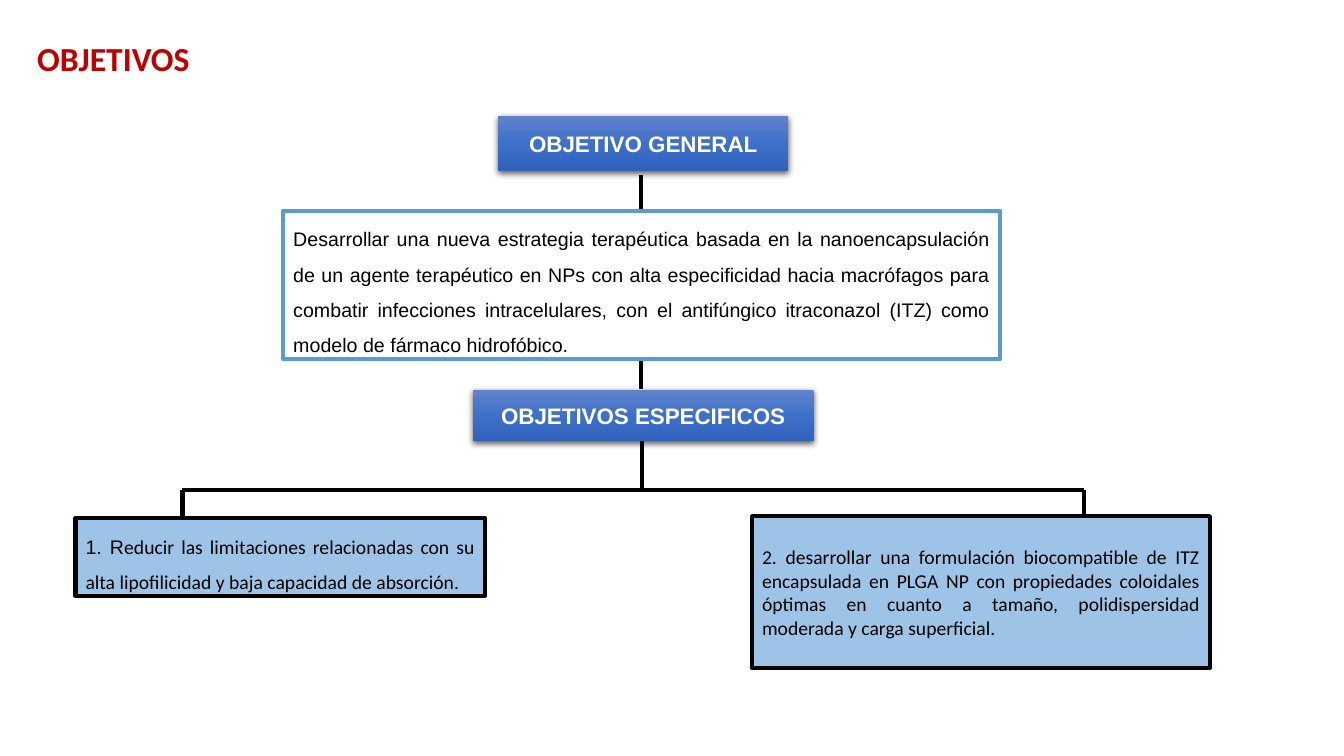
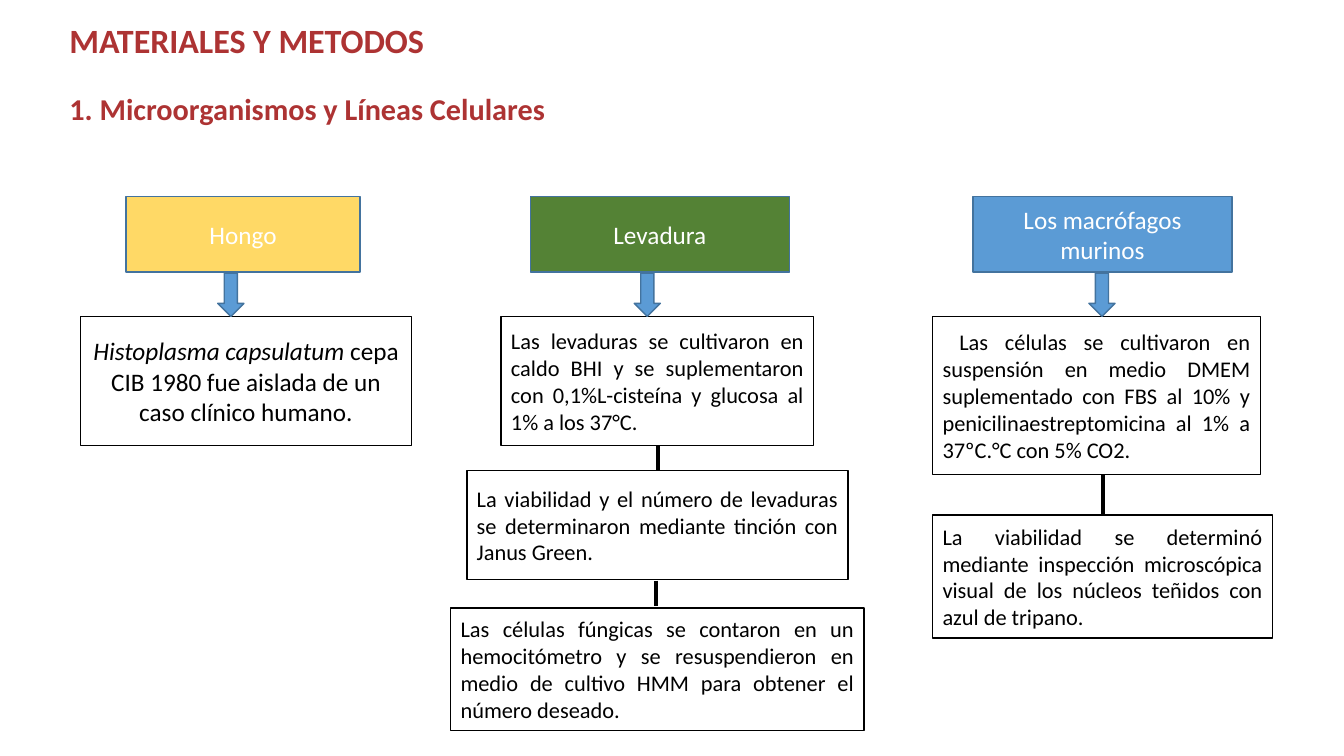
"""Build two slides: the objectives tree and the materials and methods flow."""
from dataclasses import dataclass

from pptx import Presentation
from pptx.dml.color import RGBColor
from pptx.enum.shapes import MSO_CONNECTOR, MSO_SHAPE
from pptx.enum.text import MSO_ANCHOR, PP_ALIGN
from pptx.oxml import parse_xml
from pptx.oxml.ns import nsdecls, qn
from pptx.shapes.autoshape import Shape
from pptx.slide import Slide
from pptx.util import Inches, Pt

INK = {
    "black": "000000", "white": "FFFFFF", "red": "C00000", "brick": "AD3333",
    "pale": "9DC3E6", "blue": "5B9BD5", "edge": "43739E", "gold": "FFD966",
    "green": "548235", "top": "6183CB", "mid": "3E70CA", "low": "3062BB",
}


@dataclass
class Box:
    left: float
    top: float
    width: float
    height: float
    text: str
    fill: str = "white"
    line: str = "black"
    weight: float = 1
    size: float = 16
    font: str = "Calibri"
    color: str = "black"
    bold: bool = False
    align: PP_ALIGN = PP_ALIGN.JUSTIFY
    loose: bool = False
    lead: str = ""
    face: str = "Calibri"
    slant: bool = False


@dataclass
class Link:
    x1: float
    y1: float
    x2: float
    y2: float


@dataclass
class Title:
    left: float
    top: float
    width: float
    height: float
    lines: list[tuple[str, float]]
    color: str
    space: float = 1
    wrap: bool = True


def rgb(name: str) -> RGBColor:
    return RGBColor.from_string(INK[name])


def style(run, size: float, color: str, font: str = "Calibri", bold: bool = False) -> None:
    run.font.size = Pt(size)
    run.font.name = font
    run.font.bold = bold
    run.font.color.rgb = rgb(color)


def shade(shape: Shape) -> None:
    stops = "".join(
        f'<a:gs pos="{pos * 1000}"><a:srgbClr val="{INK[name]}"/></a:gs>'
        for pos, name in ((0, "top"), (50, "mid"), (100, "low"))
    )
    props = shape._element.spPr
    props.insert(2, parse_xml(
        f'<a:gradFill {nsdecls("a")} rotWithShape="1"><a:gsLst>{stops}</a:gsLst>'
        '<a:lin ang="5400000" scaled="0"/></a:gradFill>'
    ))
    props.find(qn("a:effectLst")).append(parse_xml(
        f'<a:outerShdw {nsdecls("a")} blurRad="{Pt(4.5)}" dist="{Pt(1.5)}" '
        'dir="5400000" algn="ctr" rotWithShape="0">'
        f'<a:srgbClr val="{INK["black"]}"><a:alpha val="63000"/></a:srgbClr></a:outerShdw>'
    ))


def paint(shape: Shape, fill: str, line: str, weight: float) -> None:
    shape.shadow.inherit = False
    if fill == "shade":
        shape.line.fill.background()
        shade(shape)
        return
    shape.fill.solid()
    shape.fill.fore_color.rgb = rgb(fill)
    shape.line.color.rgb = rgb(line)
    shape.line.width = Pt(weight)


def draw_box(slide: Slide, box: Box) -> None:
    shape = slide.shapes.add_shape(
        MSO_SHAPE.RECTANGLE, Inches(box.left), Inches(box.top),
        Inches(box.width), Inches(box.height),
    )
    paint(shape, box.fill, box.line, box.weight)
    frame = shape.text_frame
    frame.word_wrap = True
    frame.vertical_anchor = MSO_ANCHOR.TOP if box.loose else MSO_ANCHOR.MIDDLE
    para = frame.paragraphs[0]
    para.alignment = box.align
    if box.loose:
        para.line_spacing = 1.5
        para.space_after = Pt(6)
    if box.lead:
        run = para.add_run()
        run.text = box.lead
        style(run, box.size, box.color, box.face, box.bold)
        run.font.italic = box.slant
    run = para.add_run()
    run.text = box.text
    style(run, box.size, box.color, box.font, box.bold)


def draw_link(slide: Slide, link: Link) -> None:
    line = slide.shapes.add_connector(
        MSO_CONNECTOR.STRAIGHT, Inches(link.x1), Inches(link.y1),
        Inches(link.x2), Inches(link.y2),
    )
    line.line.color.rgb = rgb("black")
    line.line.width = Pt(3)
    line._element.spPr.append(parse_xml(f'<a:effectLst {nsdecls("a")}/>'))


def draw_arrow(slide: Slide, left: float) -> None:
    arrow = slide.shapes.add_shape(
        MSO_SHAPE.DOWN_ARROW, Inches(left), Inches(2.71), Inches(0.26), Inches(0.43)
    )
    paint(arrow, "blue", "edge", 1)


def draw_title(slide: Slide, title: Title) -> None:
    frame = slide.shapes.add_textbox(
        Inches(title.left), Inches(title.top), Inches(title.width), Inches(title.height)
    ).text_frame
    frame.word_wrap = title.wrap
    frame.text = "\n".join(text for text, _ in title.lines)
    for num, (para, (_, size)) in enumerate(zip(frame.paragraphs, title.lines)):
        para.line_spacing = title.space
        para.space_before = Pt(24 if num else 0)
        style(para.runs[0], size, title.color, bold=True)


def build(deck, title: Title, links: list[Link], boxes: list[Box], arrows: tuple = ()) -> None:
    slide = deck.slides.add_slide(deck.slide_layouts[6])
    draw_title(slide, title)
    for link in links:
        draw_link(slide, link)
    for box in boxes:
        draw_box(slide, box)
    for left in arrows:
        draw_arrow(slide, left)


def banner(left: float, top: float, width: float, height: float, text: str) -> Box:
    return Box(left, top, width, height, text, fill="shade", font="Arial",
               color="white", bold=True, align=PP_ALIGN.CENTER)


def header(left: float, width: float, text: str, fill: str) -> Box:
    return Box(left, 1.95, width, 0.75, text, fill=fill, line="edge", size=18,
               color="white", align=PP_ALIGN.CENTER)


def goals(deck) -> None:
    mid, bar, ends = 6.37, 4.86, (1.81, 10.75)
    links = [Link(6.36, 1.74, 6.36, 2.24), Link(6.36, 3.53, 6.36, 3.86),
             Link(mid, 4.37, mid, bar)]
    for end in ends:
        links += [Link(mid, bar, end, bar), Link(end, bar, end, 5.13)]
    boxes = [
        banner(4.94, 1.15, 2.88, 0.55, "OBJETIVO GENERAL"),
        banner(4.69, 3.87, 3.38, 0.51, "OBJETIVOS ESPECIFICOS"),
        Box(0.75, 5.14, 4.06, 0.77,
            "educir las limitaciones relacionadas con su alta lipofilicidad y baja "
            "capacidad de absorción.",
            fill="pale", weight=3, size=14, loose=True, lead="1. R", face="Arial"),
        Box(7.46, 5.12, 4.54, 1.51,
            "2. desarrollar una formulación biocompatible de ITZ encapsulada en PLGA NP "
            "con propiedades coloidales óptimas en cuanto a tamaño, polidispersidad "
            "moderada y carga superficial.",
            fill="pale", weight=3, size=14),
        Box(2.81, 2.09, 7.11, 1.47,
            "Desarrollar una nueva estrategia terapéutica basada en la nanoencapsulación "
            "de un agente terapéutico en NPs con alta especificidad hacia macrófagos para "
            "combatir infecciones intracelulares, con el antifúngico itraconazol (ITZ) "
            "como modelo de fármaco hidrofóbico.",
            line="blue", weight=3, size=14, font="Arial", loose=True),
    ]
    title = Title(0.27, 0.33, 1.73, 0.5, [("OBJETIVOS", 24)], "red", wrap=False)
    build(deck, title, links, boxes)


def methods(deck) -> None:
    links = [Link(10.94, 4.55, 10.94, 5.28), Link(6.53, 4.42, 6.53, 4.67),
             Link(6.51, 5.76, 6.51, 6.01)]
    boxes = [
        header(1.25, 2.32, "Hongo", "gold"),
        header(5.26, 2.57, "Levadura", "green"),
        header(9.65, 2.57, "Los macrófagos murinos", "blue"),
        Box(0.8, 3.14, 3.28, 1.28, "cepa CIB 1980 fue aislada de un caso clínico humano.",
            size=18, align=PP_ALIGN.CENTER, lead="Histoplasma capsulatum ", slant=True),
        Box(4.97, 3.14, 3.1, 1.28,
            "Las levaduras se cultivaron en caldo BHI y se suplementaron con "
            "0,1%L-cisteína y glucosa al 1% a los 37°C."),
        Box(4.63, 4.67, 3.78, 1.08,
            "La viabilidad y el número de levaduras se determinaron mediante tinción "
            "con Janus Green."),
        Box(4.47, 6.03, 4.1, 1.22,
            "Las células fúngicas se contaron en un hemocitómetro y se resuspendieron "
            "en medio de cultivo HMM para obtener el número deseado."),
        Box(9.25, 3.14, 3.25, 1.57,
            " Las células se cultivaron en suspensión en medio DMEM suplementado con FBS "
            "al 10% y penicilinaestreptomicina al 1% a 37ºC.°C con 5% CO2."),
        Box(9.25, 5.11, 3.37, 1.22,
            "La viabilidad se determinó mediante inspección microscópica visual de los "
            "núcleos teñidos con azul de tripano."),
    ]
    lines = [("MATERIALES Y METODOS", 24.3), ("1. Microorganismos y Líneas Celulares", 21.6)]
    title = Title(0.59, 0.19, 11.5, 1.08, lines, "brick", space=0.9)
    build(deck, title, links, boxes, (2.16, 6.29, 10.8))


def main() -> None:
    deck = Presentation()
    deck.slide_width = Inches(13.33)
    deck.slide_height = Inches(7.5)
    goals(deck)
    methods(deck)
    deck.save("out.pptx")


if __name__ == "__main__":
    main()
